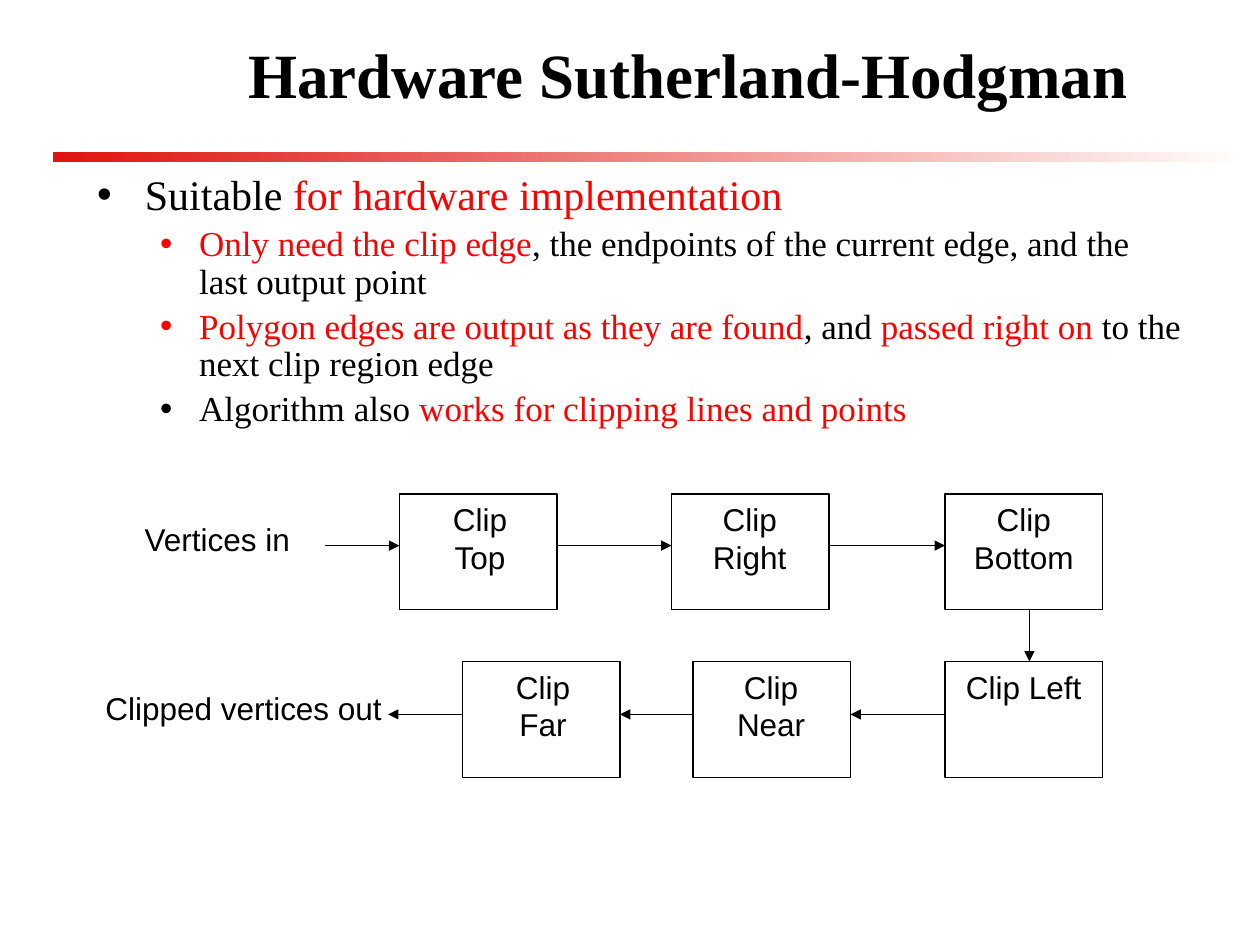
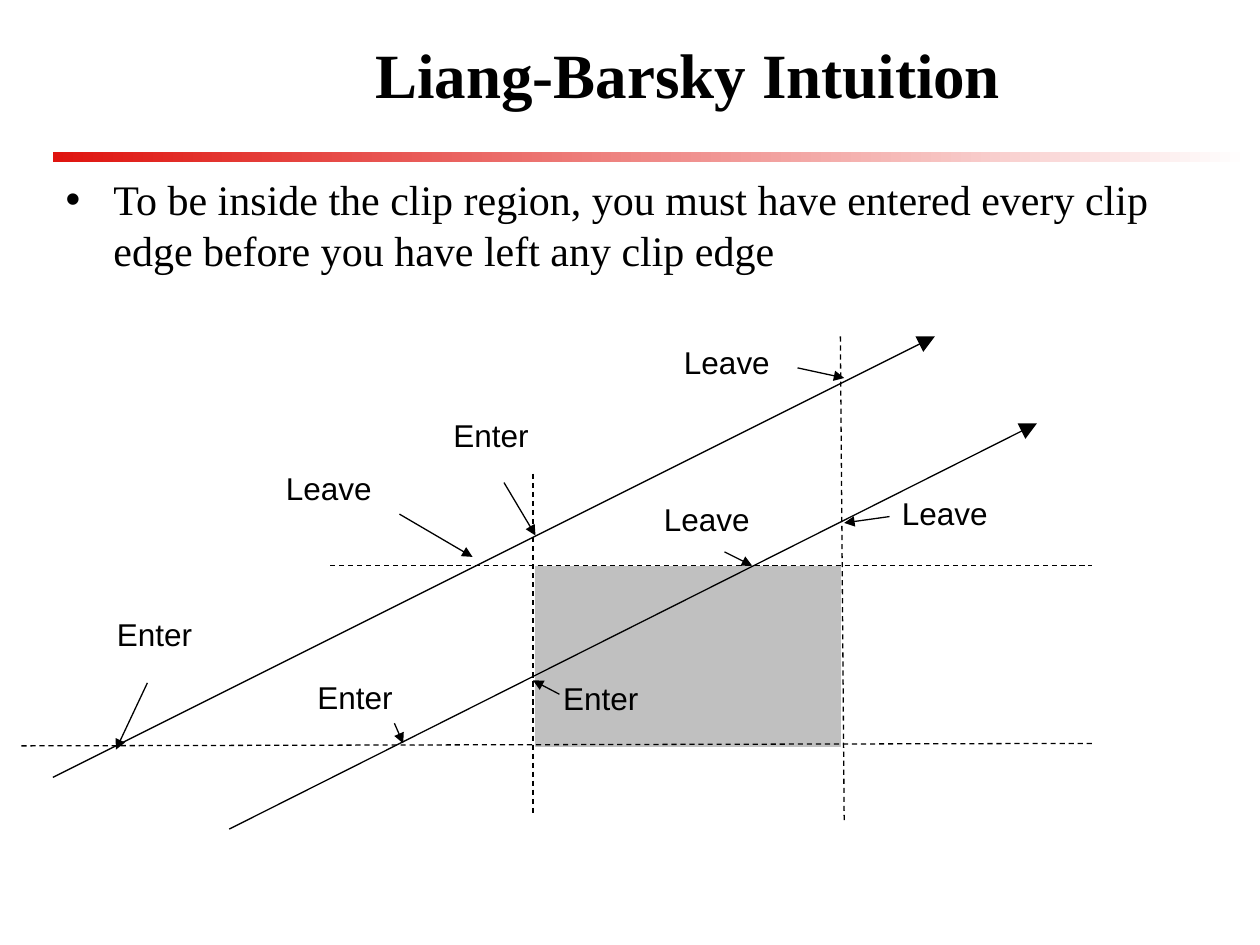
from dataclasses import dataclass
from itertools import pairwise
from typing import Any, NamedTuple

from pptx import Presentation
from pptx.dml.color import RGBColor
from pptx.enum import dml, shapes, text
from pptx.oxml import ns, xmlchemy
from pptx.util import Inches, Pt


@dataclass(frozen=True)
class Theme:
    ink: RGBColor = RGBColor(0x00, 0x00, 0x00)
    accent: RGBColor = RGBColor(0xFF, 0x00, 0x00)
    band: RGBColor = RGBColor(0xDF, 0x14, 0x0F)
    paper: RGBColor = RGBColor(0xFF, 0xFF, 0xFF)
    region: RGBColor = RGBColor(0xC0, 0xC0, 0xC0)
    serif: str = "Times New Roman"
    sans: str = "Arial"
    title: int = 36
    levels: tuple[int, ...] = (24, 20)
    label: int = 18
    line: float = 0.75


THEME = Theme()


class Box(NamedTuple):
    left: float
    top: float
    width: float
    height: float


class Span(NamedTuple):
    """A run of body text, in the accent colour when key is set."""
    words: str
    key: bool = False


class Bullet(NamedTuple):
    level: int
    spans: list[Span]


class Line(NamedTuple):
    x1: float
    y1: float
    x2: float
    y2: float


class Caption(NamedTuple):
    inset: float
    width: float


class Stage(NamedTuple):
    words: str
    left: float
    caption: Caption


class Label(NamedTuple):
    words: str
    place: Box


TITLE_BOX = Box(1.17, 0.17, 8.58, 0.83)
BAND_BOX = Box(0.42, 1.21, 9.5, 0.08)
BULLET_INDENTS = ((0.38, -0.38), (0.81, -0.31))

HARDWARE_BULLETS = [
    Bullet(0, [Span("Suitable "), Span("for hardware implementation", True)]),
    Bullet(1, [Span("Only need the clip edge", True),
               Span(", the endpoints of the current edge, and the last output point")]),
    Bullet(1, [Span("Polygon edges are output as they are found", True), Span(", and "),
               Span("passed right on", True), Span(" to the next clip region edge")]),
    Bullet(1, [Span("Algorithm also "),
               Span("works for clipping lines and points", True)]),
]
INTUITION_BULLETS = [
    Bullet(0, [Span("To be inside the clip region, you must have entered every clip "
                    "edge before you have left any clip edge")]),
]

STAGE_WIDTH, STAGE_HEIGHT, CAPTION_HEIGHT = 1.25, 0.92, 0.9
NARROW, MEDIUM, FULL = Caption(0.25, 0.78), Caption(0.08, 1.08), Caption(0, 1.25)
UPPER_TOP, UPPER_FLOW, FLOW_START = 3.92, 4.33, 2.58
LOWER_TOP, LOWER_FLOW, FLOW_END = 5.25, 5.67, 3.08
UPPER_STAGES = [Stage("Clip Top", 3.17, NARROW), Stage("Clip Right", 5.33, MEDIUM),
                Stage("Clip Bottom", 7.5, FULL)]
LOWER_STAGES = [Stage("Clip Left", 7.5, FULL), Stage("Clip Near", 5.5, MEDIUM),
                Stage("Clip Far", 3.67, NARROW)]
FLOW_LABELS = [Label("Vertices in", Box(0.75, 4.08, 1.65, 0.5)),
               Label("Clipped vertices out", Box(0.25, 5.42, 2.88, 0.5))]

CLIP_REGION = Box(4.25, 4.5, 2.42, 1.42)
CLIP_EDGES = [Line(4.23, 3.76, 4.23, 6.47), Line(6.67, 2.67, 6.7, 6.53),
              Line(2.62, 4.49, 8.67, 4.49), Line(0.17, 5.92, 8.67, 5.9)]
CLIPPED_LINES = [Line(1.82, 6.58, 8.23, 3.36), Line(0.42, 6.17, 7.42, 2.67)]
CROSSING_WIDTHS = {"Enter": 0.92, "Leave": 1.01}
# Each crossing: words, label left and top, pointer to the crossing.
CROSSINGS = [
    ("Enter", 2.42, 5.33, Line(3.13, 5.74, 3.2, 5.9)),
    ("Enter", 4.37, 5.34, Line(4.44, 5.51, 4.23, 5.4)),
    ("Leave", 5.17, 3.92, Line(5.75, 4.38, 5.97, 4.49)),
    ("Leave", 7.06, 3.87, Line(7.06, 4.1, 6.7, 4.15)),
    ("Enter", 0.83, 4.83, Line(1.17, 5.42, 0.92, 5.95)),
    ("Leave", 2.17, 3.67, Line(3.17, 4.08, 3.75, 4.42)),
    ("Enter", 3.5, 3.25, Line(4, 3.83, 4.25, 4.25)),
    ("Leave", 5.33, 2.67, Line(6.33, 2.92, 6.7, 3)),
]


def apply(target: Any, **values: Any) -> None:
    """Set each named attribute on the target."""
    for name, value in values.items():
        setattr(target, name, value)


def inches(numbers: tuple[float, ...]) -> list[int]:
    return [Inches(number) for number in numbers]


def move(placeholder: Any, place: Box) -> None:
    apply(placeholder, **dict(zip(Box._fields, inches(place))))


def add_run(paragraph: Any, words: str, size: int, face: str,
            color: RGBColor = THEME.ink, bold: bool = False) -> None:
    run = paragraph.add_run()
    run.text = words
    apply(run.font, size=Pt(size), name=face, bold=bold)
    run.font.color.rgb = color


def add_rectangle(slide: Any, place: Box) -> Any:
    rectangle = slide.shapes.add_shape(shapes.MSO_SHAPE.RECTANGLE, *inches(place))
    rectangle.shadow.inherit = False
    return rectangle


def outline(line: Any, color: RGBColor) -> None:
    line.color.rgb = color
    line.width = Pt(THEME.line)


def add_line(slide: Any, course: Line, head: str = "", dashed: bool = False) -> None:
    """Draw a line; head is the arrowhead size (med or lg), or empty for none."""
    connector = slide.shapes.add_connector(shapes.MSO_CONNECTOR.STRAIGHT, *inches(course))
    outline(connector.line, THEME.ink)
    if dashed:
        connector.line.dash_style = dml.MSO_LINE.DASH
    properties = connector.element.spPr
    if head:
        arrow = xmlchemy.OxmlElement("a:tailEnd")
        for key, value in {"type": "triangle", "w": head, "len": head}.items():
            arrow.set(key, value)
        properties.find(ns.qn("a:ln")).append(arrow)
    properties.append(xmlchemy.OxmlElement("a:effectLst"))


def add_label(slide: Any, label: Label, align: Any, wrap: bool = False) -> None:
    frame = slide.shapes.add_textbox(*inches(label.place)).text_frame
    apply(frame, word_wrap=wrap, auto_size=text.MSO_AUTO_SIZE.SHAPE_TO_FIT_TEXT)
    frame.paragraphs[0].alignment = align
    add_run(frame.paragraphs[0], label.words, THEME.label, THEME.sans)


def set_bullet(paragraph: Any, level: int) -> None:
    paragraph.level = level
    properties = paragraph._p.get_or_add_pPr()
    for key, value in zip(("marL", "indent"), inches(BULLET_INDENTS[level])):
        properties.set(key, str(value))
    mark = xmlchemy.OxmlElement("a:buChar")
    mark.set("char", "•")
    properties.append(mark)


def add_slide(deck: Any, title: str, bullets: list[Bullet], body_box: Box,
              spacing: float = 1.0) -> Any:
    slide = deck.slides.add_slide(deck.slide_layouts[1])
    heading, body = slide.placeholders
    move(heading, TITLE_BOX)
    apply(heading.text_frame, vertical_anchor=text.MSO_ANCHOR.MIDDLE,
          auto_size=text.MSO_AUTO_SIZE.NONE)
    heading_line = heading.text_frame.paragraphs[0]
    heading_line.alignment = text.PP_ALIGN.CENTER
    add_run(heading_line, title, THEME.title, THEME.serif, bold=True)

    move(body, body_box)
    frame = body.text_frame
    frame.auto_size = text.MSO_AUTO_SIZE.NONE
    for index, bullet in enumerate(bullets):
        paragraph = frame.add_paragraph() if index else frame.paragraphs[0]
        paragraph.line_spacing = spacing
        set_bullet(paragraph, bullet.level)
        for span in bullet.spans:
            add_run(paragraph, span.words, THEME.levels[bullet.level], THEME.serif,
                    THEME.accent if span.key else THEME.ink)
    return slide


def share_band(slide: Any) -> None:
    """Draw the gradient band and move it to the layout that all slides use."""
    band = add_rectangle(slide, BAND_BOX)
    band.line.fill.background()
    band.fill.gradient()
    band.fill.gradient_angle = 0
    for stop, color in zip(band.fill.gradient_stops, (THEME.band, THEME.paper)):
        stop.color.rgb = color
    slide.slide_layout.shapes.element.insert(2, band.element)


def add_stage(slide: Any, stage: Stage, top: float) -> None:
    frame = add_rectangle(slide, Box(stage.left, top, STAGE_WIDTH, STAGE_HEIGHT))
    frame.fill.background()
    outline(frame.line, THEME.ink)
    inset, width = stage.caption
    caption = Label(stage.words, Box(stage.left + inset, top, width, CAPTION_HEIGHT))
    add_label(slide, caption, text.PP_ALIGN.CENTER, wrap=True)


def draw_pipeline(slide: Any) -> None:
    for stages, top in ((UPPER_STAGES, UPPER_TOP), (LOWER_STAGES, LOWER_TOP)):
        for stage in stages:
            add_stage(slide, stage, top)
    for label in FLOW_LABELS:
        add_label(slide, label, text.PP_ALIGN.RIGHT)

    flows = [Line(FLOW_START, UPPER_FLOW, UPPER_STAGES[0].left, UPPER_FLOW),
             Line(8.17, UPPER_TOP + STAGE_HEIGHT, 8.17, LOWER_TOP),
             Line(LOWER_STAGES[-1].left, LOWER_FLOW, FLOW_END, LOWER_FLOW)]
    flows += [Line(a.left + STAGE_WIDTH, UPPER_FLOW, b.left, UPPER_FLOW)
              for a, b in pairwise(UPPER_STAGES)]
    flows += [Line(a.left, LOWER_FLOW, b.left + STAGE_WIDTH, LOWER_FLOW)
              for a, b in pairwise(LOWER_STAGES)]
    for flow in flows:
        add_line(slide, flow, head="med")


def draw_crossings(slide: Any) -> None:
    region = add_rectangle(slide, CLIP_REGION)
    region.fill.solid()
    region.fill.fore_color.rgb = THEME.region
    outline(region.line, THEME.region)
    for edge in CLIP_EDGES:
        add_line(slide, edge, dashed=True)
    for clipped in CLIPPED_LINES:
        add_line(slide, clipped, head="lg")
    for words, left, top, pointer in CROSSINGS:
        label = Label(words, Box(left, top, CROSSING_WIDTHS[words], 0.5))
        add_label(slide, label, text.PP_ALIGN.LEFT)
        add_line(slide, pointer, head="med")


def main() -> None:
    deck = Presentation()
    apply(deck, slide_width=Inches(10), slide_height=Inches(7.5))
    hardware = add_slide(deck, "Hardware Sutherland-Hodgman", HARDWARE_BULLETS,
                         Box(0.67, 1.33, 8.83, 2.17), spacing=0.9)
    share_band(hardware)
    draw_pipeline(hardware)
    intuition = add_slide(deck, "Liang-Barsky Intuition", INTUITION_BULLETS,
                          Box(0.42, 1.33, 9.33, 5.33))
    draw_crossings(intuition)
    deck.save("out.pptx")


if __name__ == "__main__":
    main()
